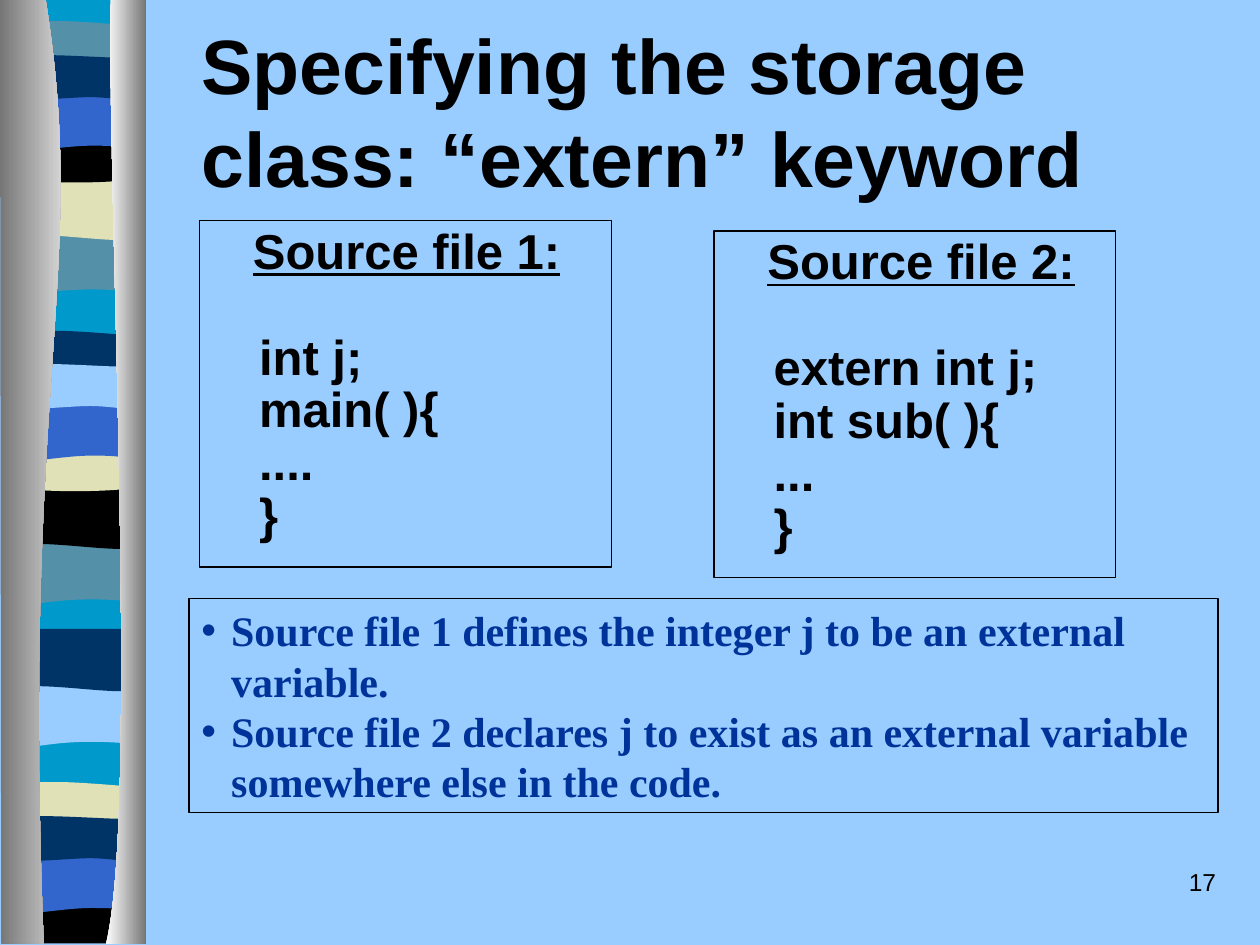
from lxml import etree
from pptx import Presentation
from pptx import util as u
from pptx.dml import color
from pptx.enum import shapes, text
from pptx.oxml import ns

COLORS = {
    "sky": "99CCFF", "cyan": "0099CC", "teal": "5490A8", "cream": "E1E1B7",
    "black": "000000", "blue": "3366CC", "navy": "003366", "note": "003399",
    "gray": "767676", "white": "FFFFFF",
}
TITLE = {"name": "Arial", "size": u.Pt(44), "bold": True}
CODE = {"name": "Arial", "size": u.Pt(28), "bold": True}
HEADING = {**CODE, "underline": True}
NOTE = {"name": "Times New Roman", "size": u.Pt(24), "bold": True}
NUMBER = {"name": "Arial", "size": u.Pt(14)}

WAVES = {
    "dip": [(78, 0), (78, 34), (24, 28, 13, 39.5, 0, 34), (0, 0)],
    "swell": [(78, 0), (78, 34), (65, 39.5, 24, 29.5, 0, 34), (0, 0)],
    "arch": [(78, 3.5), (78, 20.5), (65, 24, 13, 24, 0, 20.5), (0, 3.5),
             (5, 0, 17, .5, 29.5, .5), (42.5, .5, 68, 3, 78, 3.5)],
    "bowl": [(78, 0), (78, 23.5), (65, 27.5, 13, 27.5, 0, 23.5), (0, 0),
             (48, 3.5, 61, 0, 78, 0)],
    "hill": [(78, 0), (78, 34), (65.5, 30, 60.5, 30, 47.5, 30),
             (34.5, 30, 11.5, 34, 0, 34), (0, 0)],
    "ripple": [(78, 3.5), (78, 26), (73, 29.5, 60.5, 26, 47.5, 26),
               (34.5, 26, 8, 29.5, 0, 26), (0, 3.5),
               (11, 0, 52.5, 3.5, 65.5, 3.5), (78.5, 3.5, 75.5, 3.5, 78, 3.5)],
    "base": [(78, 0), (78, 538.5), (0, 538.5), (0, 0)],
    "foot": [(78, 0), (78, 26.5), (0, 26.5), (0, 0), (48, 3.5, 61, 0, 78, 0)],
}
RIBBONS = [
    ("base", -.7, "cyan"),
    ("dip", 133.2, "teal"), ("swell", 101.5, "cream"), ("arch", 11.5, "teal"),
    ("bowl", 77.8, "black"), ("hill", 53.3, "blue"), ("ripple", 29.5, "navy"),
    ("dip", 310.3, "teal"), ("swell", 278, "black"), ("arch", 188.6, "navy"),
    ("bowl", 254.2, "cream"), ("hill", 230.4, "blue"), ("ripple", 206, "sky"),
    ("dip", 391.7, "sky"), ("swell", 359.3, "navy"), ("arch", 446.4, "cream"),
    ("foot", 512.6, "black"), ("hill", 488.9, "blue"), ("ripple", 464.4, "navy"),
]
LEFT_PILLAR = [(26, -.7), (51, 155.5, 12, 213, 25, 539.3), (.7, 539.3), (0, -.7)]
RIGHT_PILLAR = [(63.4, -.7), (60.5, 90, 80, 465, 60.5, 539.3), (83.5, 539.3), (83.5, 0)]


def rgb(name):
    return color.RGBColor.from_string(COLORS[name])


def bend_segments(shape, outline):
    lines = iter(list(shape._element.iter(ns.qn("a:lnTo"))))
    for part in outline[1:]:
        line = next(lines)
        if len(part) == 2:
            continue
        curve = etree.Element(ns.qn("a:cubicBezTo"))
        line.addprevious(curve)
        for corner in (line, next(lines), next(lines)):
            curve.append(corner[0])
            corner.getparent().remove(corner)


def add_outline(page, outline, left=0, top=0):
    points = [((part[i] + left) * 100, (part[i + 1] + top) * 100)
              for part in outline for i in range(0, len(part), 2)]
    builder = page.shapes.build_freeform(*points[0], scale=u.Pt(1) / 100)
    builder.add_line_segments(points[1:], close=True)
    shape = builder.convert_to_shape()
    bend_segments(shape, outline)
    shape.shadow.inherit = False
    shape.line.fill.background()
    return shape


def add_ribbon(page, wave, top, shade):
    ribbon = add_outline(page, WAVES[wave], 4, top)
    ribbon.fill.solid()
    ribbon.fill.fore_color.rgb = rgb(shade)


def add_pillar(page, outline, shades):
    pillar = add_outline(page, outline)
    pillar.fill.gradient()
    pillar.fill.gradient_angle = 0
    for stop, shade in zip(pillar.fill.gradient_stops, shades):
        stop.color.rgb = rgb(shade)


def add_box(page, frame, framed=False, anchor=text.MSO_ANCHOR.TOP):
    place = [u.Pt(value) for value in frame]
    if framed:
        box = page.shapes.add_shape(shapes.MSO_SHAPE.RECTANGLE, *place)
        box.shadow.inherit = False
        box.fill.background()
        box.line.color.rgb = rgb("black")
        box.line.width = u.Pt(.75)
    else:
        box = page.shapes.add_textbox(*place)
    box.text_frame.word_wrap = True
    box.text_frame.vertical_anchor = anchor
    return box.text_frame


def add_para(body, words, style, shade="black", indent=None, bullet=False, **layout):
    para = body.paragraphs[0] if not body.paragraphs[0].runs else body.add_paragraph()
    para.text = words
    para.alignment = text.PP_ALIGN.LEFT
    props = para._p.get_or_add_pPr()
    if indent:
        for key, value in zip(("marL", "indent"), indent):
            props.set(key, str(u.Pt(value)))
    if bullet:
        bullet_color = etree.SubElement(props, ns.qn("a:buClr"))
        etree.SubElement(bullet_color, ns.qn("a:srgbClr"), val=COLORS[shade])
        etree.SubElement(props, ns.qn("a:buFont"), typeface="Arial")
        etree.SubElement(props, ns.qn("a:buChar"), char="•")
    for key, value in layout.items():
        setattr(para, key, value)
    for span in para.runs:
        for key, value in style.items():
            setattr(span.font, key, value)
        span.font.color.rgb = rgb(shade)


def add_source_file(page, frame, heading, lines):
    body = add_box(page, frame, framed=True)
    add_para(body, heading, HEADING, indent=(23.5, 0), line_spacing=.9)
    add_para(body, "\v".join(lines), CODE, indent=(27, 0), line_spacing=.9,
             space_before=u.Pt(30.3))


def main():
    deck = Presentation()
    deck.slide_width, deck.slide_height = u.Pt(720), u.Pt(540)
    page = deck.slides.add_slide(deck.slide_layouts[6])
    page.background.fill.solid()
    page.background.fill.fore_color.rgb = rgb("sky")

    for ribbon in RIBBONS:
        add_ribbon(page, *ribbon)
    add_pillar(page, LEFT_PILLAR, ("gray", "white"))
    add_pillar(page, RIGHT_PILLAR, ("white", "gray"))

    title = add_box(page, (108, 18, 612, 90), anchor=text.MSO_ANCHOR.MIDDLE)
    add_para(title, "Specifying the storage class: “extern” keyword", TITLE)
    add_source_file(page, (114, 126, 235.5, 198), "Source file 1:",
                    ["int j;", "main( ){", "....", "}"])
    add_source_file(page, (408, 132, 229.5, 198), "Source file 2:",
                    ["extern int j;", "int sub( ){", "...", "}"])

    notes = add_box(page, (108, 342, 588, 122.4), framed=True)
    for words in ("Source file 1 defines the integer j to be an external variable.",
                  "Source file 2 declares j to exist as an external variable "
                  "somewhere else in the code."):
        add_para(notes, words, NOTE, "note", indent=(17, -17), bullet=True)

    number = add_box(page, (552, 492, 150, 36))
    add_para(number, "17", NUMBER, alignment=text.PP_ALIGN.RIGHT)
    deck.save("out.pptx")


if __name__ == "__main__":
    main()
